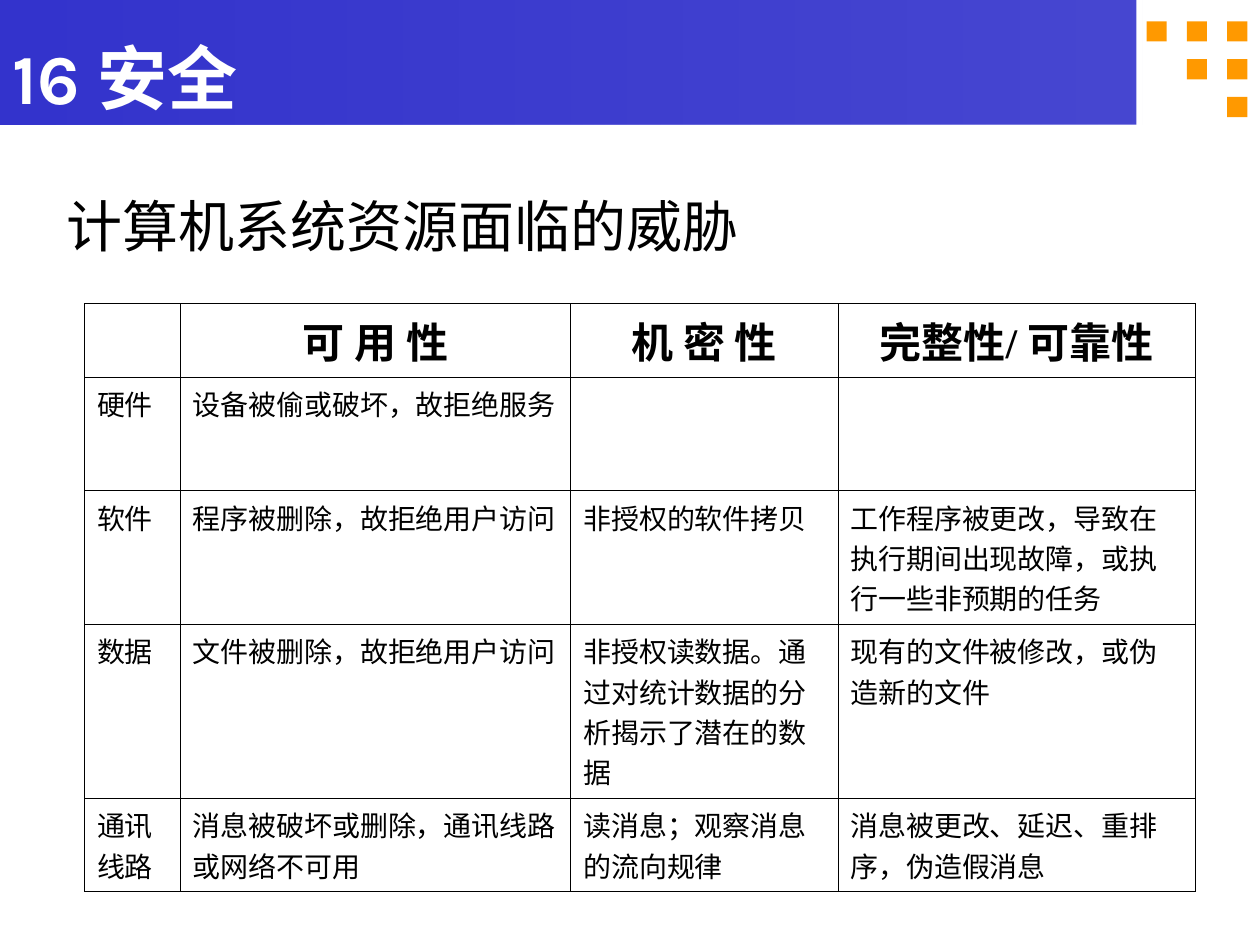
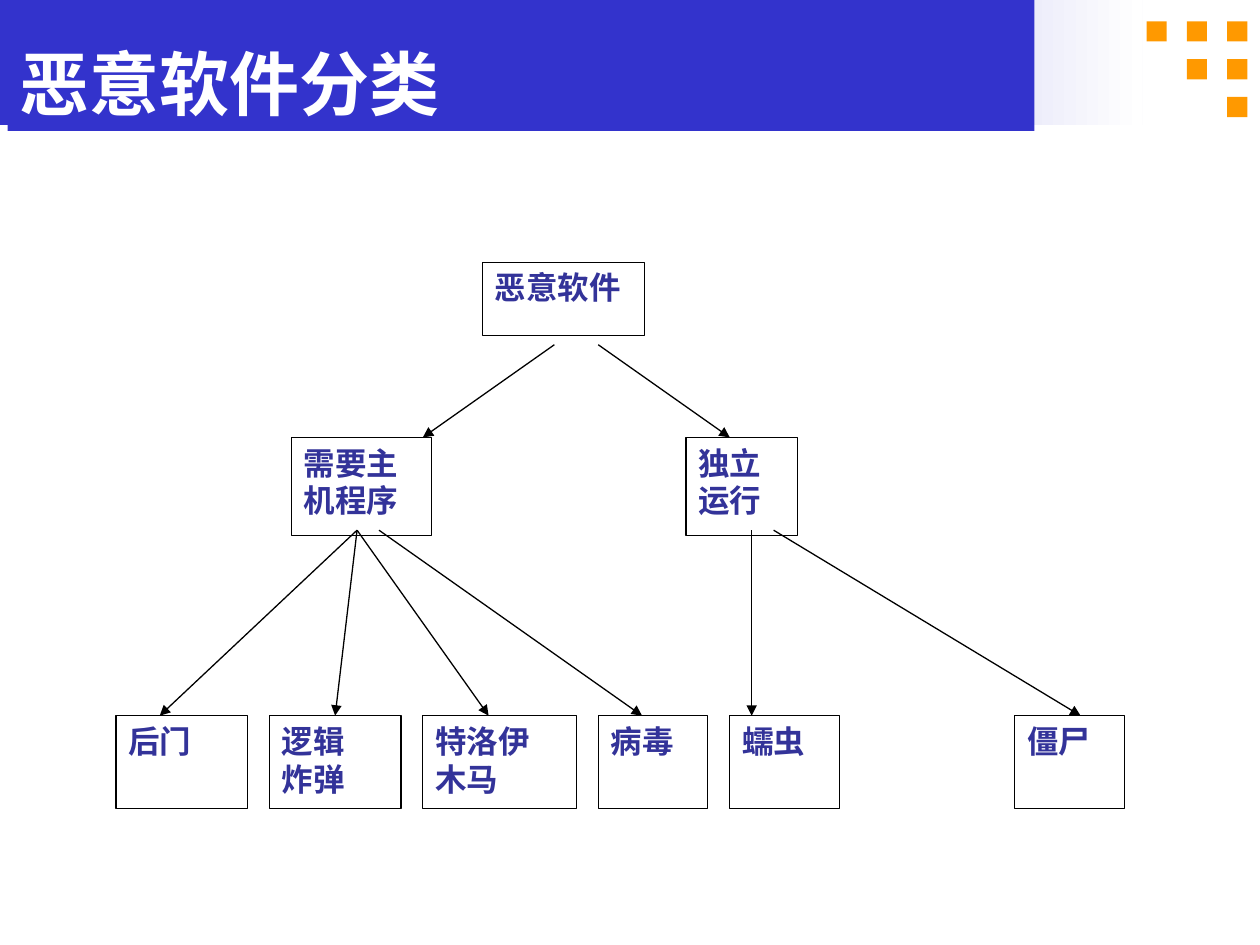
from dataclasses import dataclass

from lxml.etree import SubElement
from pptx import Presentation
from pptx.dml.color import RGBColor
from pptx.enum.shapes import MSO_CONNECTOR as Connector, MSO_SHAPE as Preset
from pptx.enum.text import MSO_ANCHOR as Anchor, MSO_AUTO_SIZE as AutoSize, PP_ALIGN as Align
from pptx.oxml.ns import qn
from pptx.util import Inches, Pt


@dataclass(frozen=True)
class Theme:
    """Colours, fonts and type sizes of the deck."""
    blue: RGBColor = RGBColor(0x33, 0x33, 0xCC)
    navy: RGBColor = RGBColor(0x33, 0x33, 0x99)
    orange: RGBColor = RGBColor(0xFF, 0x99, 0x00)
    white: RGBColor = RGBColor(0xFF, 0xFF, 0xFF)
    black: RGBColor = RGBColor(0x00, 0x00, 0x00)
    sans: str = "Karla"
    serif: str = "Times New Roman"
    chinese: str = "Noto Sans CJK SC"
    title: int = 40
    heading: int = 32
    table_head: int = 24
    node: int = 18
    table_body: int = 16
    line: float = 0.75
    border: float = 0.45


@dataclass(frozen=True)
class Grid:
    """Origin and pitch of a grid, in inches."""
    left: float
    top: float
    column: float
    row: float

    def x(self, column: float) -> int:
        """Return the horizontal position of a column line."""
        return Inches(self.left + column * self.column)

    def y(self, row: float) -> int:
        """Return the vertical position of a row line."""
        return Inches(self.top + row * self.row)


@dataclass(frozen=True)
class Box:
    """A rectangle measured in inches."""
    left: float
    top: float
    width: float
    height: float

    def emu(self) -> tuple:
        """Return the four measures as lengths."""
        return tuple(Inches(side) for side in (self.left, self.top, self.width, self.height))


@dataclass(frozen=True)
class Node:
    """A box of the tree, in grid columns and rows."""
    text: str
    column: float
    row: float
    columns: float
    rows: float = 1
    font: str = "Times New Roman"


@dataclass(frozen=True)
class Arrow:
    """An arrow of the tree between two grid points."""
    start: tuple
    end: tuple


THEME = Theme()
DOTS = Grid(left=9.1, top=0.17, column=0.32, row=0.3)
DOT_SIZE = Inches(0.16)
BAND = Box(0, 0, 9.07, 0.99)
TREE = Grid(left=0.92, top=2, column=0.174, row=0.736)
TABLE = Box(0.67, 2.41, 8.82, 3.97)
COLUMN_WIDTHS = (0.76, 3.1, 2.12, 2.84)
ROW_HEIGHTS = (0.48, 0.9, 0.86, 1.12, 0.61)
THREATS = (
    ("", "可 用 性", "机 密 性", "完整性/ 可靠性"),
    ("硬件", "设备被偷或破坏，故拒绝服务", "", ""),
    ("软件", "程序被删除，故拒绝用户访问", "非授权的软件拷贝",
     "工作程序被更改，导致在执行期间出现故障，或执行一些非预期的任务"),
    ("数据", "文件被删除，故拒绝用户访问",
     "非授权读数据。通过对统计数据的分析揭示了潜在的数据", "现有的文件被修改，或伪造新的文件"),
    ("通讯线路", "消息被破坏或删除，通讯线路或网络不可用",
     "读消息；观察消息的流向规律", "消息被更改、延迟、重排序，伪造假消息"),
)
NODES = (
    Node("恶意软件", 16.72, 0.11, 7.4, 0.79),
    Node("需要主\n机程序", 8, 2, 6.4, 1.06),
    Node("独立\n运行", 26, 2, 5.1, 1.06),
    Node("后门", 0, 5, 6),
    Node("逻辑\n炸弹", 7, 5, 6),
    Node("特洛伊\n木马", 14, 5, 7, font=THEME.chinese),
    Node("病毒", 22, 5, 5),
    Node("蠕虫", 28, 5, 5),
    Node("僵尸", 41, 5, 5),
)
ARROWS = (
    Arrow((20, 1), (14, 2)),
    Arrow((22, 1), (28, 2)),
    Arrow((11, 3), (2, 5)),
    Arrow((11, 3), (10, 5)),
    Arrow((11, 3), (17, 5)),
    Arrow((12, 3), (24, 5)),
    Arrow((29, 3), (29, 5)),
    Arrow((30, 3), (44, 5)),
)


def style_text(text_frame, size: int, color: RGBColor, font: str,
               bold: bool = False, align: Align = Align.LEFT) -> None:
    """Format every run of a text frame."""
    for paragraph in text_frame.paragraphs:
        paragraph.alignment = align
        for run in paragraph.runs:
            run.font.size = Pt(size)
            run.font.bold = bold
            run.font.color.rgb = color
            run.font.name = font
            SubElement(run.font._element, qn("a:ea"), typeface=THEME.chinese)


def add_rectangle(slide, bounds: tuple, color: RGBColor):
    """Add a plain rectangle without line or shadow."""
    shape = slide.shapes.add_shape(Preset.RECTANGLE, *bounds)
    shape.shadow.inherit = False
    shape.fill.solid()
    shape.fill.fore_color.rgb = color
    shape.line.fill.background()
    return shape


def add_frame_slide(presentation):
    """Add a slide with the corner squares and the fading band."""
    slide = presentation.slides.add_slide(presentation.slide_layouts[6])
    for row in range(3):
        for column in range(row, 3):
            add_rectangle(slide, (DOTS.x(column), DOTS.y(row), DOT_SIZE, DOT_SIZE), THEME.orange)
    band = add_rectangle(slide, BAND.emu(), THEME.blue)
    band.fill.gradient()
    band.fill.gradient_angle = 0
    for stop, position, color in zip(band.fill.gradient_stops, (0, 1), (THEME.blue, THEME.white)):
        stop.position = position
        stop.color.rgb = color
    return slide


def add_title(slide, text: str, box: Box, font: str, opacity: int = 100) -> None:
    """Add the title on its blue bar."""
    bar = add_rectangle(slide, box.emu(), THEME.blue)
    if opacity < 100:
        color = bar.fill._xPr.find(".//" + qn("a:srgbClr"))
        SubElement(color, qn("a:alpha"), val=str(opacity * 1000))
    text_frame = bar.text_frame
    text_frame.word_wrap = True
    text_frame.vertical_anchor = Anchor.BOTTOM
    text_frame.text = text
    style_text(text_frame, THEME.title, THEME.white, font, bold=True)


def add_heading(slide, text: str, box: Box) -> None:
    """Add an unwrapped heading above the content."""
    text_frame = slide.shapes.add_textbox(*box.emu()).text_frame
    text_frame.word_wrap = False
    text_frame.auto_size = AutoSize.SHAPE_TO_FIT_TEXT
    text_frame.text = text
    style_text(text_frame, THEME.heading, THEME.black, THEME.sans)


def add_borders(cell) -> None:
    """Draw thin lines on the four sides of a cell."""
    properties = cell._tc.get_or_add_tcPr()
    for index, side in enumerate(("a:lnL", "a:lnR", "a:lnT", "a:lnB")):
        line = properties.makeelement(qn(side), {"w": str(Pt(THEME.border))})
        fill = SubElement(line, qn("a:solidFill"))
        SubElement(fill, qn("a:srgbClr"), val=str(THEME.black))
        properties.insert(index, line)


def add_threat_table(slide) -> None:
    """Add the table of threats by resource."""
    table = slide.shapes.add_table(len(THREATS), len(COLUMN_WIDTHS), *TABLE.emu()).table
    table.first_row = False
    table.horz_banding = False
    for column, width in zip(table.columns, COLUMN_WIDTHS):
        column.width = Inches(width)
    for row, height in zip(table.rows, ROW_HEIGHTS):
        row.height = Inches(height)
    for row_index, texts in enumerate(THREATS):
        head = row_index == 0
        for column_index, text in enumerate(texts):
            cell = table.cell(row_index, column_index)
            cell.fill.background()
            add_borders(cell)
            cell.text_frame.text = text
            style_text(cell.text_frame, THEME.table_head if head else THEME.table_body,
                       THEME.black, THEME.serif, head, Align.CENTER if head else Align.LEFT)


def add_node(slide, node: Node):
    """Add one outlined box of the tree."""
    bounds = (TREE.x(node.column), TREE.y(node.row),
              Inches(node.columns * TREE.column), Inches(node.rows * TREE.row))
    shape = add_rectangle(slide, bounds, THEME.white)
    shape.line.color.rgb = THEME.black
    shape.line.width = Pt(THEME.line)
    text_frame = shape.text_frame
    text_frame.word_wrap = True
    text_frame.vertical_anchor = Anchor.TOP
    text_frame.text = node.text
    style_text(text_frame, THEME.node, THEME.navy, node.font, bold=True)
    return shape


def add_arrow(slide, arrow: Arrow, top_centres: dict) -> None:
    """Add one arrow, joined where it meets the middle of a box top."""
    (start_column, start_row), (end_column, end_row) = arrow.start, arrow.end
    connector = slide.shapes.add_connector(
        Connector.STRAIGHT, TREE.x(start_column), TREE.y(start_row),
        TREE.x(end_column), TREE.y(end_row))
    if arrow.end in top_centres:
        connector.end_connect(top_centres[arrow.end], 0)
    connector.line.color.rgb = THEME.black
    connector.line.width = Pt(THEME.line)
    SubElement(connector.line._get_or_add_ln(), qn("a:tailEnd"), type="triangle")
    SubElement(connector._element.spPr, qn("a:effectLst"))


def add_malware_tree(slide) -> None:
    """Add the boxes and arrows of the malware classes."""
    top_centres = {(node.column + node.columns / 2, node.row): add_node(slide, node)
                   for node in NODES}
    for arrow in ARROWS:
        add_arrow(slide, arrow, top_centres)


def main() -> None:
    """Build and save the two slides."""
    presentation = Presentation()
    presentation.slide_width, presentation.slide_height = Inches(10), Inches(7.5)

    threats = add_frame_slide(presentation)
    add_title(threats, "16 安全", Box(0, 0, 9.02, 0.99), THEME.sans, opacity=90)
    add_threat_table(threats)
    add_heading(threats, "计算机系统资源面临的威胁", Box(0.43, 1.47, 5.54, 0.64))

    malware = add_frame_slide(presentation)
    add_malware_tree(malware)
    add_title(malware, "恶意软件分类", Box(0.06, 0, 8.15, 1.04), THEME.chinese)

    presentation.save("out.pptx")


if __name__ == "__main__":
    main()
